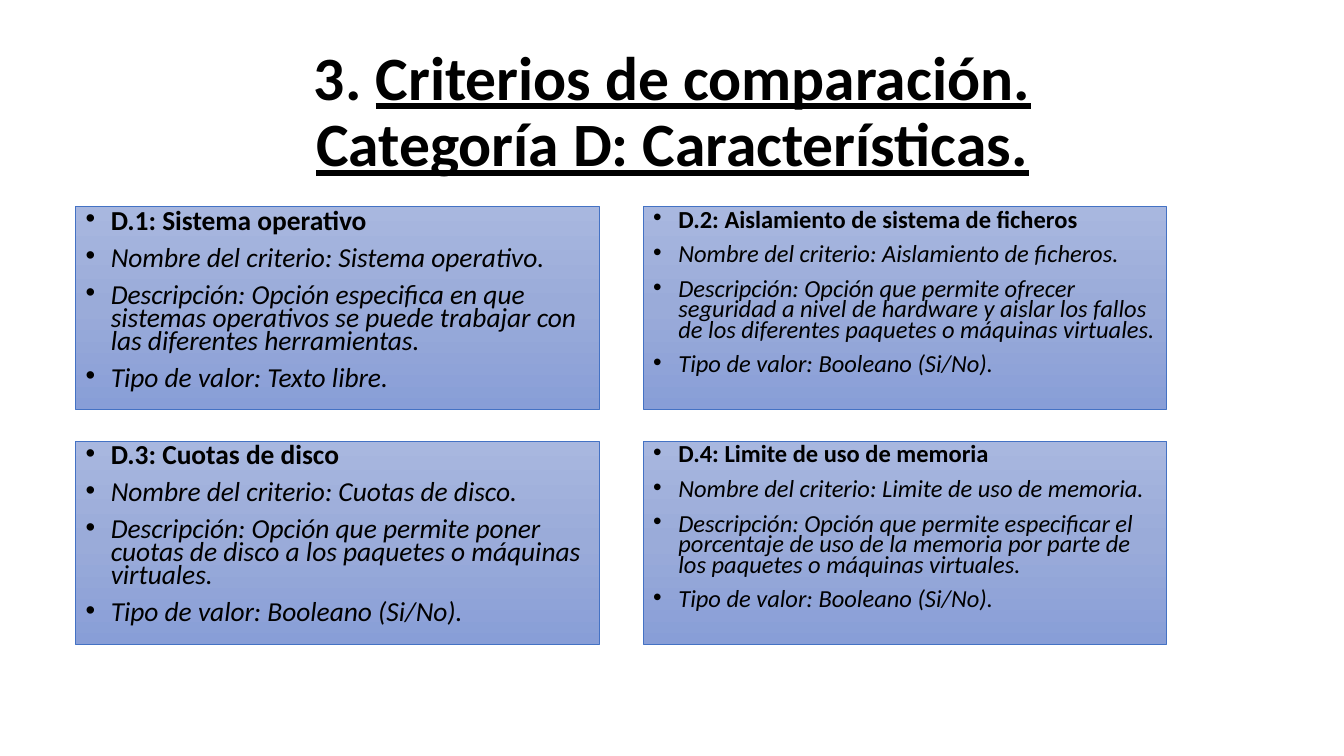
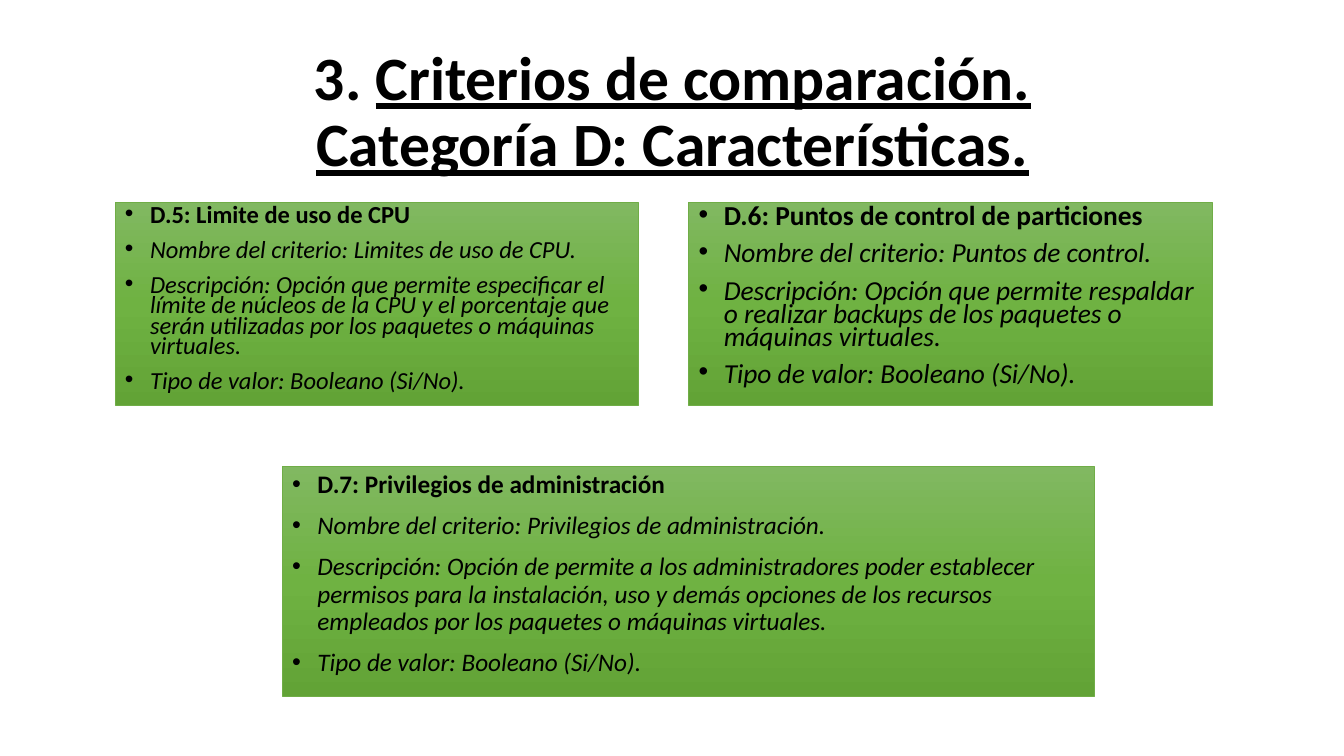
from copy import deepcopy

from lxml import etree
from pptx import Presentation
from pptx.dml.color import RGBColor
from pptx.enum import shapes, text
from pptx.oxml import ns
from pptx.util import Inches, Pt

FONT = "Calibri"
COLORS = {"text": "000000", "background": "FFFFFF"}
BLUE = {"line": "4472C4", "stops": ("A8B7DF", "9AABD9", "889ED7")}
GREEN = {"line": "70AD47", "stops": ("81B861", "6FB242", "62A336")}
CARD_WIDTH, CARD_HEIGHT = 5.19, 2.01
BOOLEAN = "Booleano (Si/No)."
LARGE, SMALL = 19.6, 17.5

SYSTEM_CARDS = [
    ("D.1: Sistema operativo", "Sistema operativo.",
     "Opción especifica en que sistemas operativos se puede trabajar con las "
     "diferentes herramientas.", "Texto libre.", LARGE),
    ("D.2: Aislamiento de sistema de ficheros", "Aislamiento de ficheros.",
     "Opción que permite ofrecer seguridad a nivel de hardware y aislar los "
     "fallos de los diferentes paquetes o máquinas virtuales.", BOOLEAN, SMALL),
    ("D.3: Cuotas de disco", "Cuotas de disco.",
     "Opción que permite poner cuotas de disco a los paquetes o máquinas "
     "virtuales.", BOOLEAN, LARGE),
    ("D.4: Limite de uso de memoria", "Limite de uso de memoria.",
     "Opción que permite especificar el porcentaje de uso de la memoria por "
     "parte de los paquetes o máquinas virtuales.", BOOLEAN, SMALL),
]
CONTROL_CARDS = [
    ("D.5: Limite de uso de CPU", "Limites de uso de CPU.",
     "Opción que permite especificar el límite de núcleos de la CPU y el "
     "porcentaje que serán utilizadas por los paquetes o máquinas virtuales.",
     BOOLEAN, SMALL),
    ("D.6: Puntos de control de particiones", "Puntos de control.",
     "Opción que permite respaldar o realizar backups de los paquetes o "
     "máquinas virtuales.", BOOLEAN, LARGE),
]
PRIVILEGES_CARD = (
    "D.7: Privilegios de administración", "Privilegios de administración.",
    "Opción de permite a los administradores poder establecer permisos para la "
    "instalación, uso y demás opciones de los recursos empleados por los "
    "paquetes o máquinas virtuales.", BOOLEAN, 18)


def set_font(font, size, bold=False, italic=False):
    font.name = FONT
    font.size = Pt(size)
    font.bold = bold
    font.italic = italic
    font.color.rgb = RGBColor.from_string(COLORS["text"])


def add_bullet(para):
    properties = para._p.get_or_add_pPr()
    properties.set("marL", str(Inches(0.25)))
    properties.set("indent", str(-Inches(0.25)))
    font = etree.SubElement(properties, ns.qn("a:buFont"))
    font.set("typeface", "Arial")
    bullet = etree.SubElement(properties, ns.qn("a:buChar"))
    bullet.set("char", "•")


def fill_gradient(shape, colors):
    shape.fill.gradient()
    shape.fill.gradient_angle = 270
    stop_list = shape._element.spPr.find(".//" + ns.qn("a:gsLst"))
    stop_list.append(deepcopy(stop_list[-1]))
    for index, (stop, color) in enumerate(zip(shape.fill.gradient_stops, colors)):
        stop.position = index / (len(colors) - 1)
        stop.color.rgb = RGBColor.from_string(color)


def add_title(page, left, top, width, height):
    box = page.shapes.add_textbox(*map(Inches, (left, top, width, height)))
    frame = box.text_frame
    frame.word_wrap = True
    frame.vertical_anchor = text.MSO_ANCHOR.MIDDLE
    para = frame.paragraphs[0]
    para.alignment = text.PP_ALIGN.CENTER
    para.line_spacing = 0.9
    set_font(para.font, 44, bold=True)
    para.add_run().text = "3. "
    first = para.add_run()
    first.text = "Criterios de comparación."
    para.add_line_break()
    second = para.add_run()
    second.text = "Categoría D: Características."
    for span in (first, second):
        span.font.underline = True


def add_card(page, box, card, theme, spacing=0.7):
    heading, name, description, value, size = card
    shape = page.shapes.add_shape(
        shapes.MSO_SHAPE.RECTANGLE, *map(Inches, box))
    shape.shadow.inherit = False
    fill_gradient(shape, theme["stops"])
    shape.line.color.rgb = RGBColor.from_string(theme["line"])
    shape.line.width = Pt(0.5)
    frame = shape.text_frame
    frame.word_wrap = True
    frame.vertical_anchor = text.MSO_ANCHOR.TOP
    lines = (heading, f"Nombre del criterio: {name}",
             f"Descripción: {description}", f"Tipo de valor: {value}")
    for index, line in enumerate(lines):
        para = frame.add_paragraph() if index else frame.paragraphs[0]
        para.text = line
        para.alignment = text.PP_ALIGN.LEFT
        para.line_spacing = spacing
        if index:
            para.space_before = Pt(10)
        add_bullet(para)
        set_font(para.font, size, bold=index == 0, italic=index > 0)


def add_card_grid(page, left, top, column_gap, row_gap, cards, theme):
    for index, card in enumerate(cards):
        row, column = divmod(index, 2)
        box = (left + column * (CARD_WIDTH + column_gap),
               top + row * (CARD_HEIGHT + row_gap), CARD_WIDTH, CARD_HEIGHT)
        add_card(page, box, card, theme)


def add_page(deck):
    page = deck.slides.add_slide(deck.slide_layouts[6])
    page.background.fill.solid()
    page.background.fill.fore_color.rgb = RGBColor.from_string(
        COLORS["background"])
    add_title(page, 0.92, 0.4, 11.5, 1.45)
    return page


def main():
    deck = Presentation()
    deck.slide_width, deck.slide_height = Inches(13.33), Inches(7.5)

    systems = add_page(deck)
    add_card_grid(systems, 0.75, 2.05, 0.44, 0.32, SYSTEM_CARDS, BLUE)

    controls = add_page(deck)
    add_card_grid(controls, 1.14, 2.01, 0.5, 0, CONTROL_CARDS, GREEN)
    add_card(controls, (2.8, 4.63, 8.05, 2.28), PRIVILEGES_CARD, GREEN, 0.9)

    deck.save("out.pptx")


if __name__ == "__main__":
    main()
